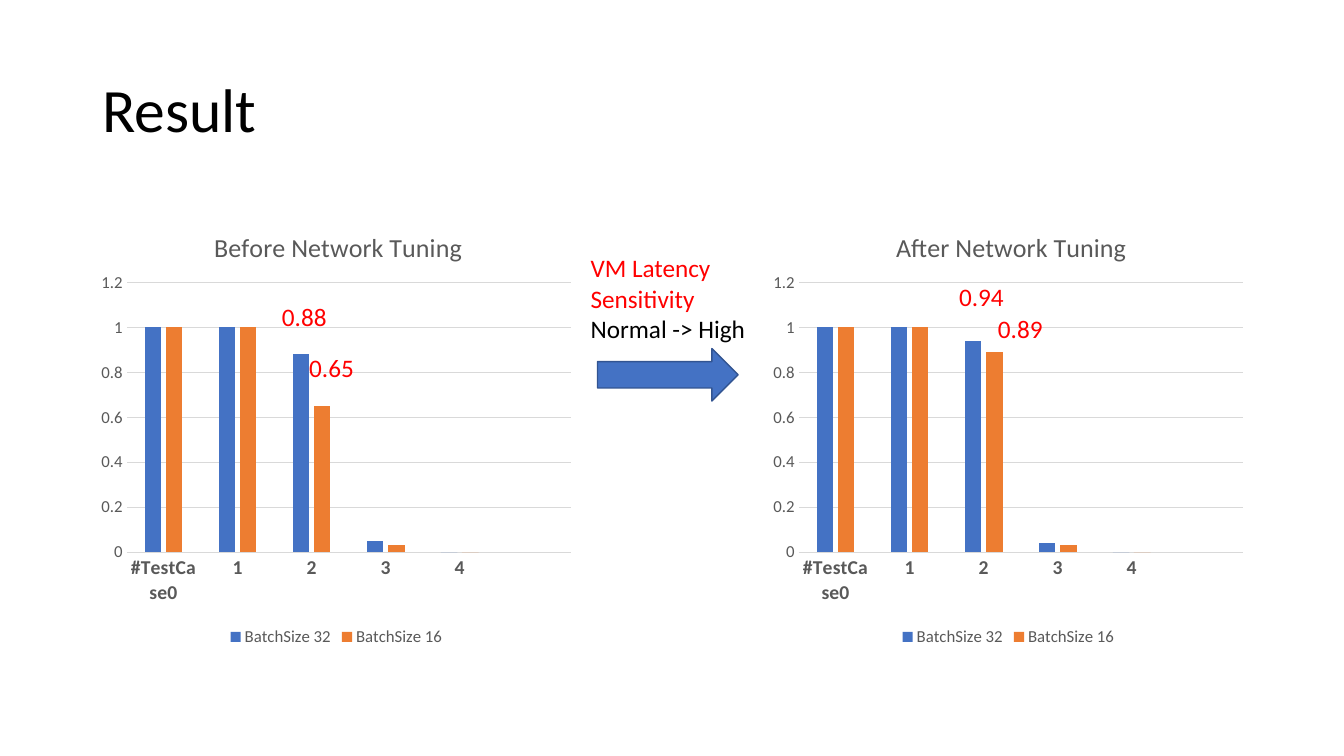
from dataclasses import dataclass
from lxml.etree import SubElement
from pptx import Presentation
from pptx.chart.chart import Chart
from pptx.chart.data import CategoryChartData as Data
from pptx.dml.color import RGBColor
from pptx.enum.chart import XL_CHART_TYPE as Kind, XL_LEGEND_POSITION as Place, XL_TICK_MARK as Tick
from pptx.enum.shapes import MSO_SHAPE as Form
from pptx.enum.text import MSO_ANCHOR as Anchor
from pptx.oxml import parse_xml
from pptx.oxml.ns import nsdecls, qn
from pptx.slide import Slide
from pptx.text.text import Font
from pptx.util import Pt

PX = 9525
FACE = "Calibri"
BLACK = RGBColor(0, 0, 0)
RED = RGBColor(255, 0, 0)
GRAY = RGBColor(0x59, 0x59, 0x59)
GRID = RGBColor(0xD9, 0xD9, 0xD9)
BLUE = RGBColor(0x44, 0x72, 0xC4)
ORANGE = RGBColor(0xED, 0x7D, 0x31)
NAVY = RGBColor(0x32, 0x54, 0x91)
CASES = ["#TestCase0", "1", "2", "3", "4", ""]
BATCHES = (("BatchSize 32", BLUE), ("BatchSize 16", ORANGE))


@dataclass
class Graph:
    """A column chart with its title, title offset and values."""
    left: int
    title: str
    shift: float
    rows: tuple[tuple[float | None, ...], ...]


@dataclass
class Note:
    """A text box with one colour for each paragraph."""
    box: tuple[int, int, int, int]
    lines: tuple[tuple[str, RGBColor], ...]
    size: int = 18
    anchor: Anchor = Anchor.TOP
    space: float = 1.0


GRAPHS = (
    Graph(88, "Before Network Tuning", 0.24,
          ((1, 1, 0.88, 0.05, 0, None), (1, 1, 0.65, 0.03, 0, None))),
    Graph(728, "After Network Tuning", 0.26,
          ((1, 1, 0.94, 0.04, 0, None), (1, 1, 0.89, 0.03, 0, None))),
)
HEAD = Note((88, 38, 1104, 139), (("Result", BLACK),), 44, Anchor.MIDDLE, 0.9)
MARKS = ((259, 282, "0.88"), (285, 331, "0.65"), (904, 263, "0.94"), (941, 294, "0.89"))
NOTES = [Note((x, y, 71, 38), ((text, RED),)) for x, y, text in MARKS]
CAUSE = Note((553, 236, 186, 97), (("VM Latency Sensitivity", RED), ("Normal -> High", BLACK)))


def scale(*box: int) -> list[int]:
    """Turn px into EMU."""
    return [n * PX for n in box]


def style(font: Font, size: float, color: RGBColor, bold: bool = False) -> None:
    """Set face, size, colour and weight."""
    font.name, font.size, font.bold = FACE, Pt(size), bold
    font.color.rgb = color


def write(slide: Slide, note: Note) -> None:
    """Add a text box."""
    frame = slide.shapes.add_textbox(*scale(*note.box)).text_frame
    frame.word_wrap = True
    frame.vertical_anchor = note.anchor
    for i, (text, color) in enumerate(note.lines):
        para = frame.add_paragraph() if i else frame.paragraphs[0]
        para.text = text
        para.line_spacing = note.space
        style(para.font, note.size, color)


def layout(**parts: str | float) -> object:
    """Make a manual chart layout."""
    root = parse_xml(f"<c:layout {nsdecls('c')}/>")
    hand = SubElement(root, qn("c:manualLayout"))
    for name, value in parts.items():
        SubElement(hand, qn(f"c:{name}")).set("val", str(value))
    return root


def place(chart: Chart, shift: float) -> None:
    """Fix the title and the plot area in the chart."""
    title = chart.chart_title._element
    plot = title.getparent().find(qn("c:plotArea"))
    for part in (title, plot):
        for old in part.findall(qn("c:layout")):
            part.remove(old)
    title.find(qn("c:tx")).addnext(layout(xMode="edge", yMode="edge", x=shift, y=0.05))
    plot.insert(0, layout(layoutTarget="inner", xMode="edge", yMode="edge",
                          x=0.07, y=0.18, w=0.91, h=0.6))


def draw(slide: Slide, graph: Graph) -> None:
    """Add a column chart."""
    data = Data()
    data.categories = CASES
    for (name, _), row in zip(BATCHES, graph.rows):
        data.add_series(name, row)
    box = scale(graph.left, 192, 465, 428)
    chart = slide.shapes.add_chart(Kind.COLUMN_CLUSTERED, *box, data).chart
    style(chart.font, 10, BLACK)
    para = chart.chart_title.text_frame.paragraphs[0]
    para.text = graph.title
    style(para.font, 18.6, GRAY)
    chart.chart_title.include_in_layout = False
    place(chart, graph.shift)
    chart.has_legend = True
    chart.legend.position = Place.BOTTOM
    chart.legend.include_in_layout = False
    style(chart.legend.font, 12, GRAY)
    plot = chart.plots[0]
    plot.gap_width, plot.overlap, plot.vary_by_categories = 219, -27, False
    for (_, color), series in zip(BATCHES, plot.series):
        series.format.fill.solid()
        series.format.fill.fore_color.rgb = color
    cat, val = chart.category_axis, chart.value_axis
    for axis, size in ((cat, 14), (val, 12)):
        axis.major_tick_mark = axis.minor_tick_mark = Tick.NONE
        style(axis.tick_labels.font, size, GRAY, axis is cat)
    val.minimum_scale, val.maximum_scale, val.major_unit = 0, 1.2, 0.2
    val.has_major_gridlines = True
    val.format.line.fill.background()
    for line in (cat.format.line, val.major_gridlines.format.line):
        line.color.rgb, line.width = GRID, Pt(0.75)


def point(slide: Slide) -> None:
    """Add the arrow between the charts."""
    arrow = slide.shapes.add_shape(Form.RIGHT_ARROW, *scale(569, 332, 134, 50))
    arrow.shadow.inherit = False
    arrow.fill.solid()
    arrow.fill.fore_color.rgb = BLUE
    arrow.line.color.rgb, arrow.line.width = NAVY, Pt(1)


def main() -> None:
    """Build the slide."""
    deck = Presentation()
    deck.slide_width, deck.slide_height = scale(1280, 720)
    slide = deck.slides.add_slide(deck.slide_layouts[6])
    write(slide, HEAD)
    for graph in GRAPHS:
        draw(slide, graph)
    for note in NOTES:
        write(slide, note)
    point(slide)
    write(slide, CAUSE)
    deck.save("out.pptx")


if __name__ == "__main__":
    main()
